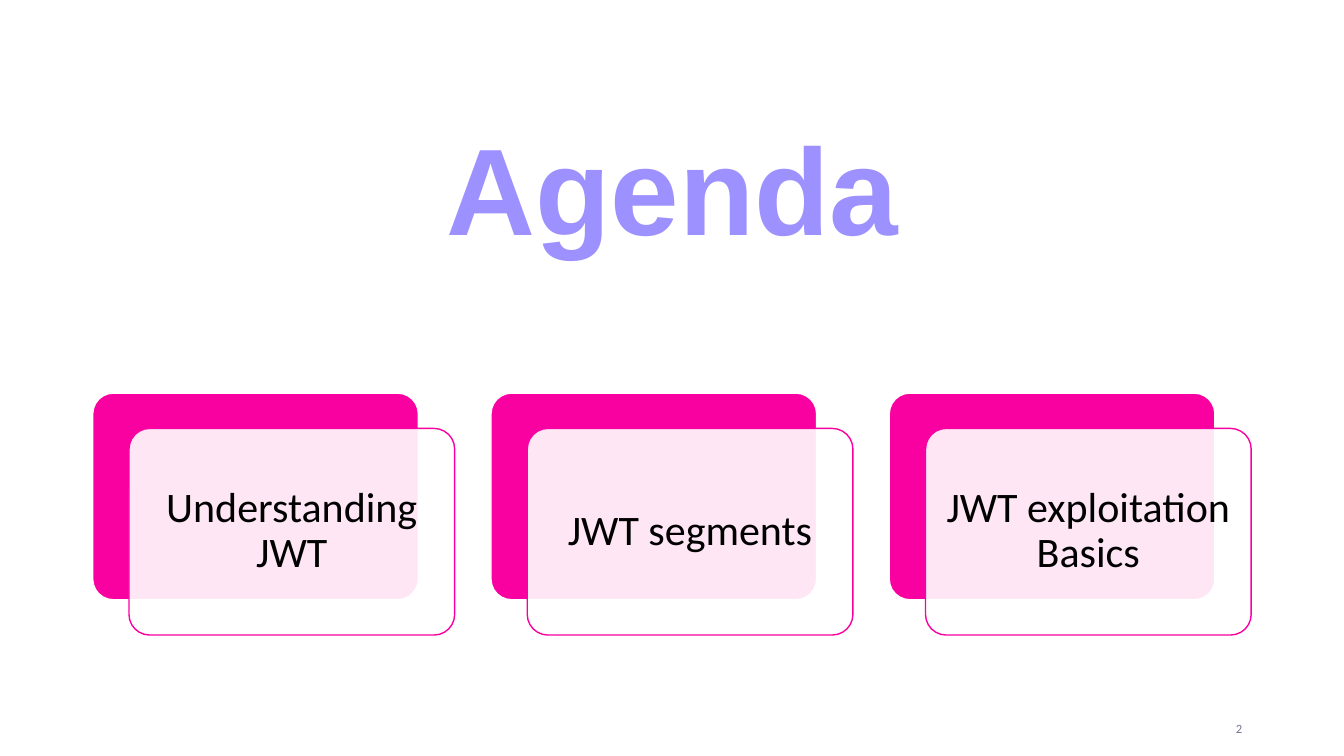
from lxml.etree import SubElement
from pptx import Presentation
from pptx.dml.color import RGBColor
from pptx.enum.shapes import MSO_SHAPE
from pptx.enum.text import MSO_ANCHOR, PP_ALIGN
from pptx.oxml.ns import qn
from pptx.util import Inches, Pt

PINK = "F900A0"
WHITE = "FFFFFF"


def paint(target, color):
    """Give a fill or a font a solid hex colour."""
    fill = getattr(target, "fill", target)
    fill.solid()
    fill.fore_color.rgb = RGBColor.from_string(color)


def write(shape, text, font, size, color, align, inset=0.1):
    """Write one vertically centred paragraph into a shape."""
    frame = shape.text_frame
    frame.word_wrap = True
    frame.vertical_anchor = MSO_ANCHOR.MIDDLE
    frame.margin_left = frame.margin_right = Inches(inset)
    frame.margin_top = frame.margin_bottom = Inches(min(inset, 0.12))
    line = frame.paragraphs[0]
    line.text = text
    line.alignment = align
    line.font.name = font
    line.font.size = Pt(size)
    paint(line.font, color)
    return line


deck = Presentation()
deck.slide_width = Inches(13.33)
deck.slide_height = Inches(7.5)
slide = deck.slides.add_slide(deck.slide_layouts[6])
paint(slide.background, WHITE)
shapes = slide.shapes

# Title
title = shapes.add_textbox(Inches(0.92), Inches(0.67), Inches(11.5), Inches(2.54))
line = write(title, "Agenda", "Arial", 88, "9C91FE", PP_ALIGN.CENTER)
line.font.bold = True
line.line_spacing = 0.9

# Slide number
number = shapes.add_textbox(Inches(9.42), Inches(7.03), Inches(3), Inches(0.4))
line = write(number, "2", "Calibri", 9, "797292", PP_ALIGN.RIGHT)
line.space_after = Pt(6)

# Topic cards: a pink back and a translucent front, shifted down and right
topics = ["Understanding JWT", "JWT segments", "JWT exploitation Basics"]
for index, topic in enumerate(topics):
    left = 0.92 + index * 3.95
    layers = [(left, 3.9, PINK, WHITE), (left + 0.36, 4.25, WHITE, PINK)]
    for x, y, color, border in layers:
        card = shapes.add_shape(MSO_SHAPE.ROUNDED_RECTANGLE,
                                Inches(x), Inches(y), Inches(3.23), Inches(2.05))
        card.adjustments[0] = 0.1
        card.shadow.inherit = False
        paint(card, color)
        paint(card.line, border)
        card.line.width = Pt(1)

    # The last card drawn is the front one
    tint = card.fill._xPr.find(qn("a:solidFill"))[0]
    SubElement(tint, qn("a:alpha"), val="90000")
    line = write(card, topic, "Calibri", 30, "000000", PP_ALIGN.CENTER, 0.12)
    line.line_spacing = 0.9

deck.save("out.pptx")
